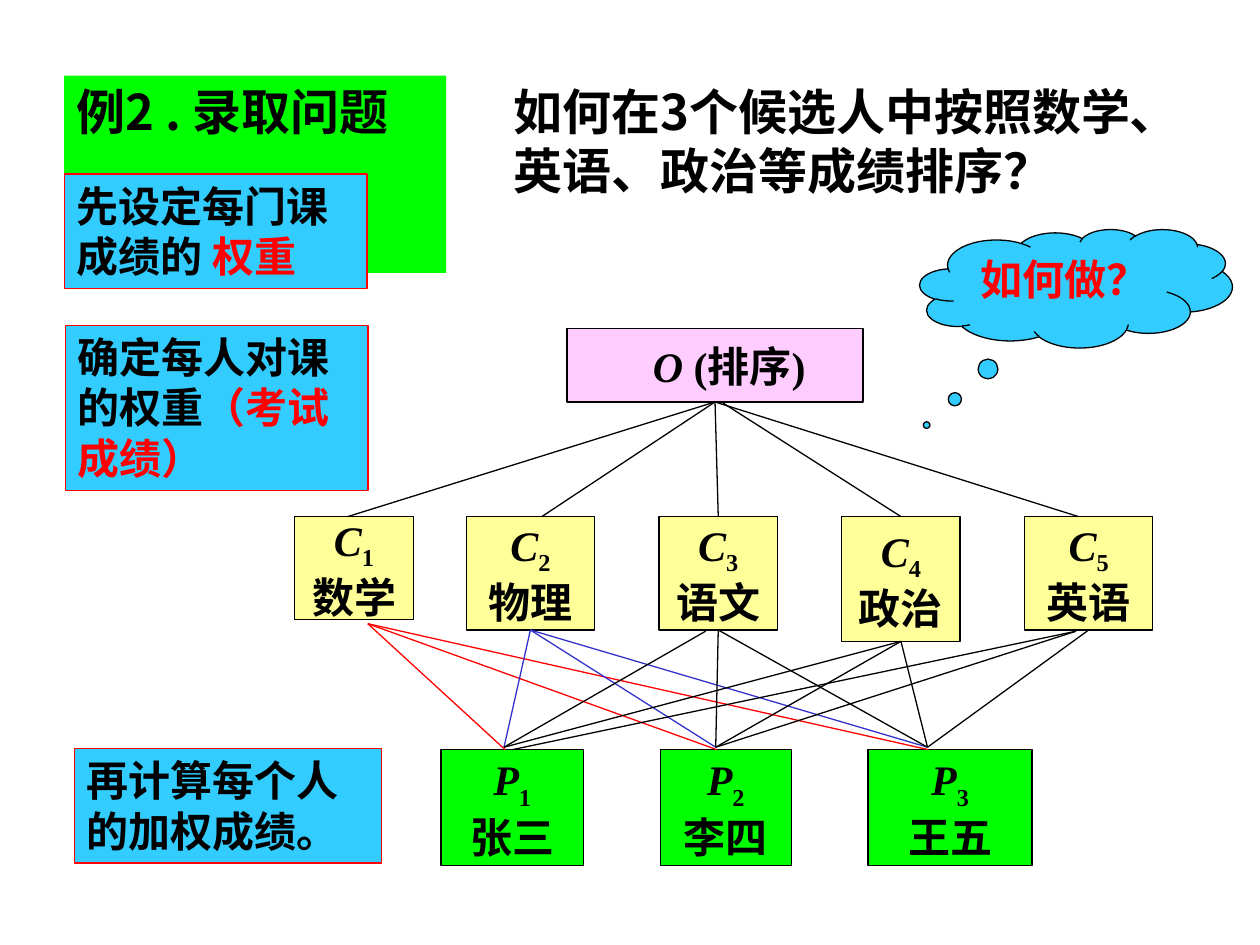
from typing import NamedTuple

from lxml.etree import SubElement
from pptx import Presentation
from pptx.dml.color import RGBColor
from pptx.enum.shapes import MSO_CONNECTOR as CONN, MSO_SHAPE as SHAPE
from pptx.enum.text import MSO_ANCHOR as ANCHOR, MSO_AUTO_SIZE as AUTO, PP_ALIGN as ALIGN
from pptx.oxml.ns import qn
from pptx.util import Pt

SERIF, CJK = "Times New Roman", "Noto Sans CJK SC"
BLACK, RED, BLUE = "000000", "FF0000", "3333CC"
GREEN, SKY, YELLOW, PINK = "00FF00", "33CCFF", "FFFF99", "FFCCFF"
BODY = dict(size=Pt(24), name=SERIF, bold=True)
HEAD = dict(size=Pt(28), name=CJK, bold=True)


class Run(NamedTuple):
    text: str
    color: str = BLACK
    italic: bool = False
    baseline: int = 0


class Rect(NamedTuple):
    left: float
    top: float
    width: float
    height: float


class Node(NamedTuple):
    letter: str
    index: int
    label: str
    rect: Rect
    fill: str


class Fan(NamedTuple):
    hub: tuple
    ends: list
    color: str = BLACK


def rgb(value: str) -> RGBColor:
    return RGBColor.from_string(value)


def place(sp, rect: Rect) -> None:
    for name, value in rect._asdict().items():
        setattr(sp, name, Pt(value))


def write(sp, paragraphs: list, font=BODY, align=ALIGN.LEFT, **frame) -> None:
    """Fill a shape with paragraphs, each one a list of runs."""
    tf = sp.text_frame
    for name, value in {"word_wrap": True, "vertical_anchor": ANCHOR.TOP, **frame}.items():
        setattr(tf, name, value)
    for i, runs in enumerate(paragraphs):
        p = tf.add_paragraph() if i else tf.paragraphs[0]
        p.alignment = align
        for run in runs:
            r = p.add_run()
            r.text = run.text
            for name, value in {**font, "italic": run.italic}.items():
                setattr(r.font, name, value)
            r.font.color.rgb = rgb(run.color)
            SubElement(r.font._element, qn("a:ea")).set("typeface", CJK)
            if run.baseline:
                r.font._element.set("baseline", str(run.baseline * 1000))


def add_box(rect: Rect, fill: str, line=BLACK, kind=SHAPE.RECTANGLE):
    sp = slide.shapes.add_shape(kind, *map(Pt, rect))
    sp.shadow.inherit = False
    sp.fill.solid()
    sp.fill.fore_color.rgb = rgb(fill)
    sp.line.color.rgb = rgb(line)
    sp.line.width = Pt(0.75)
    return sp


def side_at(point: tuple, boxes: list):
    """Return (box, site) when the point is the middle of a top or bottom side."""
    x, y = map(Pt, point)
    for sp in boxes:
        for site, edge in ((0, sp.top), (2, sp.top + sp.height)):
            if max(abs(sp.left + sp.width / 2 - x), abs(edge - y)) < Pt(3):
                return sp, site
    return None


def add_line(start: tuple, end: tuple, color: str, boxes: list) -> None:
    cxn = slide.shapes.add_connector(CONN.STRAIGHT, *map(Pt, (*start, *end)))
    cxn.line.color.rgb = rgb(color)
    cxn.line.width = Pt(0.75)
    SubElement(cxn._element.spPr, qn("a:effectLst"))
    for point, join in ((start, cxn.begin_connect), (end, cxn.end_connect)):
        side = side_at(point, boxes)
        if side:
            join(*side)


prs = Presentation()
prs.slide_width, prs.slide_height = Pt(720), Pt(540)
slide = prs.slides.add_slide(prs.slide_layouts[5])

# Title and question
title = slide.shapes.title
place(title, Rect(36.7, 43.2, 218.2, 41))
title.fill.solid()
title.fill.fore_color.rgb = rgb(GREEN)
write(title, [[Run("例2 . 录取问题")]], HEAD, auto_size=AUTO.SHAPE_TO_FIT_TEXT)
question = slide.shapes.add_textbox(*map(Pt, Rect(286.6, 43.2, 406, 75)))
write(question, [[Run("如何在3个候选人中按照数学、英语、政治等成绩排序？")]], HEAD,
      auto_size=AUTO.SHAPE_TO_FIT_TEXT)

# Steps on the left
STEPS = [
    (Rect(36.7, 99.4, 173, 65.5), [Run("先设定每门课成绩的"), Run(" 权重", RED)]),
    (Rect(37.4, 185.8, 173, 94.3), [Run("确定每人对课的权重"), Run("（考试成绩）", RED)]),
    (Rect(42.5, 427.7, 175.7, 65.5), [Run("再计算每个人的加权成绩。")]),
]
for rect, runs in STEPS:
    write(add_box(rect, SKY, RED), [runs], auto_size=AUTO.SHAPE_TO_FIT_TEXT)

# Thought cloud
cloud = add_box(Rect(525.6, 131, 178.6, 67.7), SKY, kind=SHAPE.CLOUD_CALLOUT)
cloud.adjustments[0], cloud.adjustments[1] = -0.478, 1.154
write(cloud, [[Run("如何做？", RED)]], align=ALIGN.CENTER)

# Goal, criteria and candidates
goal = add_box(Rect(324, 187.9, 169.2, 41.8), PINK)
write(goal, [[Run("O ", italic=True), Run("(排序)")]], vertical_anchor=ANCHOR.MIDDLE,
      margin_left=Pt(49), margin_right=Pt(0))
C_TOP, P_TOP, P_HEIGHT = 295.2, 428.4, 66.2
CRITERIA = [("数学", 168.5, 67.7, 59), ("物理", 266.4, 73.4, 64.8), ("语文", 376.6, 67.7, 64.8),
            ("政治", 481, 67.7, 71.3), ("英语", 585.4, 73.4, 64.8)]
CANDIDATES = [("张三", 252, 81.4), ("李四", 377.3, 74.9), ("王五", 496.1, 93.6)]
nodes = [Node("C", i, label, Rect(x, C_TOP, w, h), YELLOW)
         for i, (label, x, w, h) in enumerate(CRITERIA, 1)]
nodes += [Node("P", i, label, Rect(x, P_TOP, w, P_HEIGHT), GREEN)
          for i, (label, x, w) in enumerate(CANDIDATES, 1)]
boxes = [goal]
for node in nodes:
    sp = add_box(node.rect, node.fill)
    symbol = [Run(node.letter, italic=True), Run(str(node.index), baseline=-25)]
    write(sp, [symbol, [Run(node.label)]], align=ALIGN.CENTER, word_wrap=False,
          vertical_anchor=ANCHOR.MIDDLE)
    boxes.append(sp)

# Links between the levels
C_BOTTOM, P_LINE = 360.7, 427
p1, p2, p3 = [(x, P_LINE) for x in (288, 409, 530)]
FANS = [
    Fan((407.5, 230.4), [(x, C_TOP) for x in (198.7, 309.6, 407.5, 616.3)]),
    Fan((413.3, 230.4), [(511.9, C_TOP)]),
    Fan((210.2, 356.4), [(x, P_TOP) for x in (288.7, 409.7, 530.6)], RED),
    Fan((306, C_BOTTOM), [p1, p2, p3], BLUE),
    Fan((403.2, C_BOTTOM), [p1]),
    Fan((409, C_BOTTOM), [p2, p3]),
    Fan((511.9, 366.5), [p1, p2, p3]),
    Fan((614.9, C_BOTTOM), [(293.8, P_LINE), p2]),
    Fan((620.6, C_BOTTOM), [p3]),
]
for fan in FANS:
    for end in fan.ends:
        add_line(fan.hub, end, fan.color, boxes)

prs.save("out.pptx")
